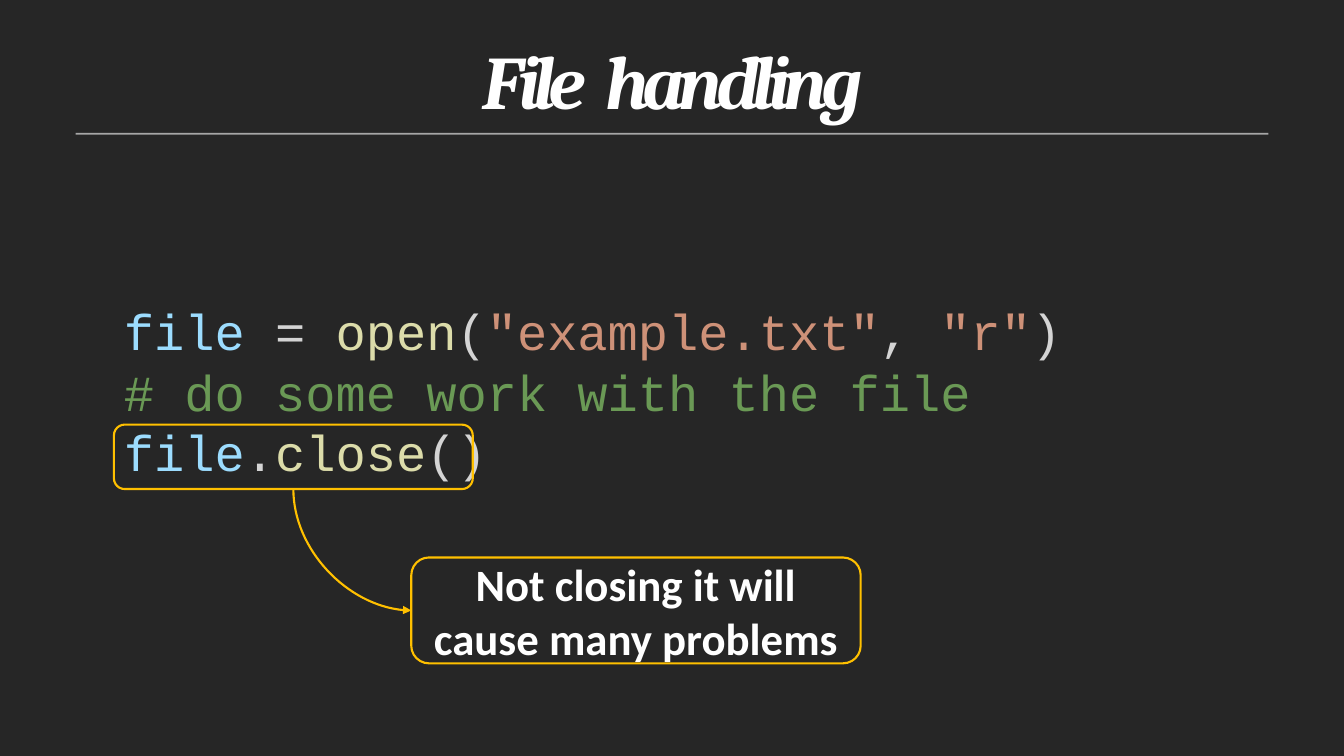
from pptx import Presentation
from pptx.dml.color import RGBColor
from pptx.enum.shapes import MSO_CONNECTOR, MSO_SHAPE
from pptx.enum.text import MSO_ANCHOR, PP_ALIGN
from pptx.oxml.ns import qn
from pptx.util import Pt
from lxml.etree import SubElement

BACKGROUND = RGBColor(0x26, 0x26, 0x26)
WHITE = RGBColor(0xFF, 0xFF, 0xFF)
RULE_GREY = RGBColor(0xA6, 0xA6, 0xA6)
AMBER = RGBColor(0xFF, 0xC0, 0x00)
VARIABLE = RGBColor(0x9C, 0xDC, 0xFE)
PLAIN = RGBColor(0xD4, 0xD4, 0xD4)
FUNCTION = RGBColor(0xDC, 0xDC, 0xAA)
STRING = RGBColor(0xCE, 0x91, 0x78)
COMMENT = RGBColor(0x6A, 0x99, 0x55)

CODE_LINES = [
    [("file", VARIABLE), (" = ", PLAIN), ("open", FUNCTION), ("(", PLAIN),
     ('"example.txt"', STRING), (", ", PLAIN), ('"r"', STRING), (")", PLAIN)],
    [("# do some work with the file", COMMENT)],
    [("file", VARIABLE), (".", PLAIN), ("close", FUNCTION), ("()", PLAIN)],
]


def add_text_frame(slide, left, top, width, height):
    """Add a wrapping text box and return its text frame."""
    box = slide.shapes.add_textbox(Pt(left), Pt(top), Pt(width), Pt(height))
    box.text_frame.word_wrap = True
    return box.text_frame


def add_title(slide):
    """Add the tightly spaced title, with a wider gap between its words."""
    paragraph = add_text_frame(slide, 81.4, 5, 797.8, 82.8).paragraphs[0]
    paragraph.alignment = PP_ALIGN.CENTER
    paragraph.line_spacing = Pt(80.7)
    font = paragraph.font
    font.name, font.size, font.bold, font.italic = "Cambria", Pt(54), True, True
    font.color.rgb = WHITE
    for text, spacing in (("File", -480), (" ", 240), ("handling", -480)):
        run = paragraph.add_run()
        run.text = text
        run.font._element.set("spc", str(spacing))


def add_rule(slide):
    """Add the thin rule under the title."""
    rule = slide.shapes.add_shape(
        MSO_SHAPE.RECTANGLE, Pt(54), Pt(95), Pt(852), Pt(1.2))
    rule.shadow.inherit = False
    rule.fill.solid()
    rule.fill.fore_color.rgb = RULE_GREY
    rule.line.fill.background()


def add_code(slide):
    """Add the coloured code lines."""
    frame = add_text_frame(slide, 81.4, 211, 782, 138.2)
    for index, tokens in enumerate(CODE_LINES):
        paragraph = frame.add_paragraph() if index else frame.paragraphs[0]
        paragraph.font.name, paragraph.font.size = "Courier New", Pt(36)
        for text, color in tokens:
            run = paragraph.add_run()
            run.text = text
            run.font.color.rgb = color


def add_frame(slide, left, top, width, height):
    """Add an unfilled rounded frame with an amber outline."""
    frame = slide.shapes.add_shape(
        MSO_SHAPE.ROUNDED_RECTANGLE, Pt(left), Pt(top), Pt(width), Pt(height))
    frame.shadow.inherit = False
    frame.fill.background()
    frame.line.color.rgb = AMBER
    frame.line.width = Pt(1.5)
    return frame


def add_warning(frame, text):
    """Write bold centred text into a frame."""
    frame.text_frame.word_wrap = True
    frame.text_frame.vertical_anchor = MSO_ANCHOR.MIDDLE
    paragraph = frame.text_frame.paragraphs[0]
    paragraph.text = text
    paragraph.alignment = PP_ALIGN.CENTER
    font = paragraph.font
    font.name, font.size, font.bold = "Calibri", Pt(32), True
    font.color.rgb = WHITE


def add_curved_arrow(slide, source, target):
    """Join the bottom of source to the left of target with a quarter curve."""
    start_x, start_y = source.left + source.width // 2, source.top + source.height
    end_x, end_y = target.left, target.top + target.height // 2
    arrow = slide.shapes.add_connector(
        MSO_CONNECTOR.CURVE, start_x, start_y, end_x, end_y)
    arrow.begin_connect(source, 2)
    arrow.end_connect(target, 1)
    arrow.width, arrow.height = end_y - start_y, end_x - start_x
    arrow.left = (start_x + end_x - arrow.width) // 2
    arrow.top = (start_y + end_y - arrow.height) // 2
    arrow.line.color.rgb = AMBER
    arrow.line.width = Pt(1.5)
    properties = arrow._element.spPr
    transform = properties.find(qn("a:xfrm"))
    transform.set("rot", "16200000")
    transform.set("flipH", "1")
    properties.find(qn("a:prstGeom")).set("prst", "curvedConnector2")
    SubElement(properties.find(qn("a:ln")), qn("a:tailEnd"), type="triangle")
    SubElement(properties, qn("a:effectLst"))


def main():
    """Build the file handling slide."""
    presentation = Presentation()
    presentation.slide_width, presentation.slide_height = Pt(960), Pt(540)
    slide = presentation.slides.add_slide(presentation.slide_layouts[6])
    slide.background.fill.solid()
    slide.background.fill.fore_color.rgb = BACKGROUND
    add_rule(slide)
    add_title(slide)
    add_code(slide)
    close_call = add_frame(slide, 81.4, 303.3, 256.3, 46)
    warning = add_frame(slide, 293.8, 398.2, 321, 75.6)
    add_warning(warning, "Not closing it will cause many problems")
    add_curved_arrow(slide, close_call, warning)
    presentation.save("out.pptx")


if __name__ == "__main__":
    main()
